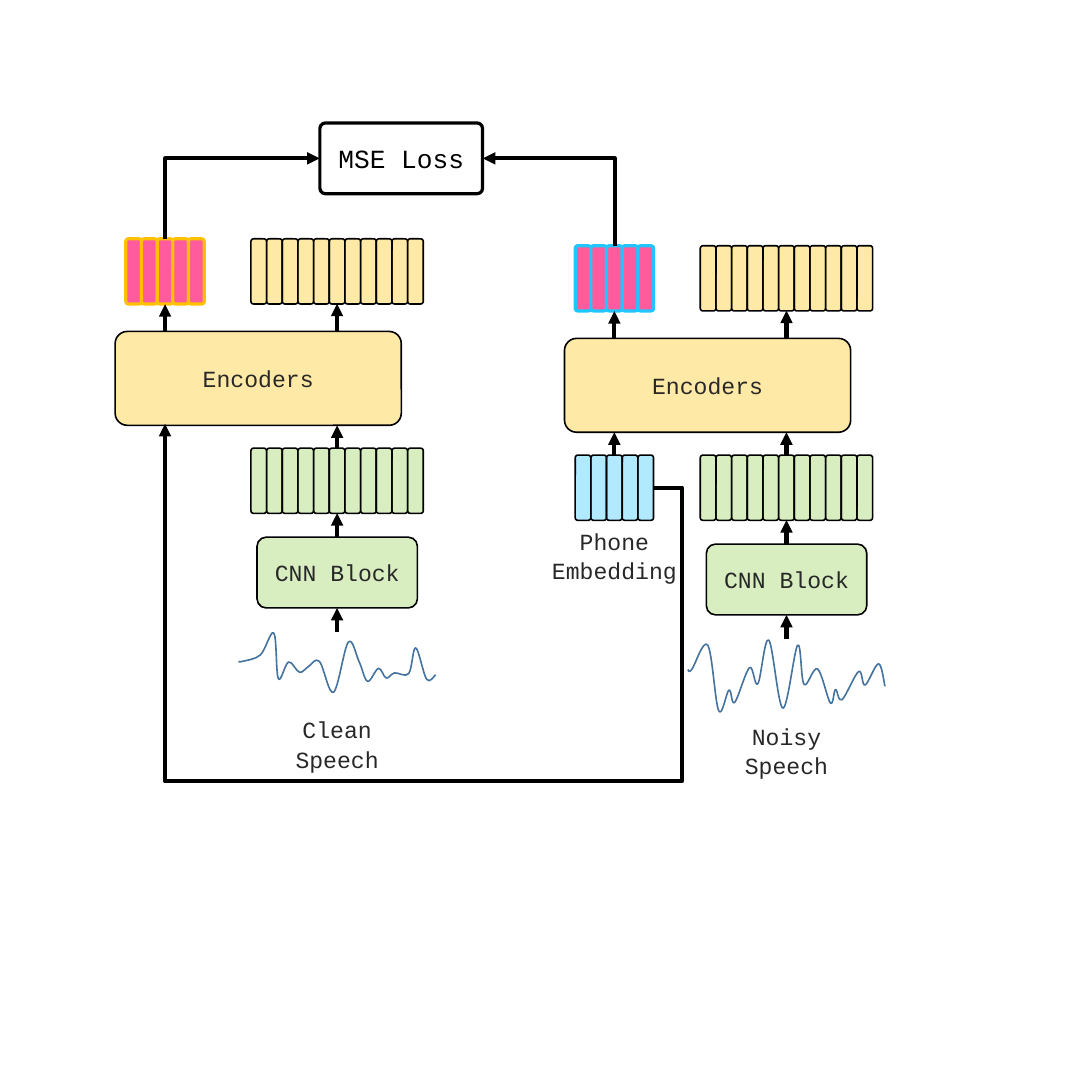
from lxml import etree
from pptx import Presentation
from pptx.dml.color import RGBColor
from pptx.enum import shapes, text
from pptx.oxml import ns
from pptx.util import Pt

BLACK = RGBColor(0x00, 0x00, 0x00)
INK = RGBColor(0x28, 0x28, 0x28)
GOLD = RGBColor(0xFF, 0xC0, 0x00)
GREEN = RGBColor(0x92, 0xD0, 0x50)
CYAN = RGBColor(0x21, 0xC5, 0xFF)
PINK = RGBColor(0xFF, 0x5B, 0x9D)
WAVE_BLUE = RGBColor(0x43, 0x73, 0x9E)
FONT = "Courier New"
TINT = 35  # percent opacity of the light fills

# Content: the two branches, each drawn from its own offset
BRANCHES = [
    dict(offset=(0, 0), speech=["Clean", "Speech"], output_edge=GOLD, phones=None,
         wave=[(0, 45), (6, 45), (34, 35), (55, 1), (62, 72), (78, 46), (95, 62),
               (109, 53), (126, 45), (148, 93), (171, 15), (188, 46), (201, 76),
               (218, 56), (230, 71), (243, 63), (265, 64), (276, 24), (293, 73), (307, 66)]),
    dict(offset=(699.8, 10.8), speech=["Noisy", "Speech"], output_edge=CYAN,
         phones=["Phone", "Embedding"],
         wave=[(0, 47), (6, 47), (31, 9), (48, 111), (64, 79), (73, 98), (96, 44),
               (109, 69), (126, 1), (148, 107), (171, 9), (181, 70), (202, 46),
               (222, 99), (230, 78), (240, 94), (266, 50), (276, 71), (297, 38), (307, 73)]),
]
ENCODERS = (179.3, 516.2, 445.7, 146.2)
CNN_BLOCK = (400.3, 836.6, 249.8, 110.2)
LOSS = (498.2, 191.5, 253.4, 110.2)
LABEL_W, LABEL_H = 229, 92
WAVE_LEFT, WAVE_TOP = 371.5, 985

# Columns and rows shared by both branches
PHONE_X, SPEECH_X = 257, 525
OUTPUT_TOP, FEATURE_TOP = 371.9, 698
BAR_W, BAR_H = 24.4, 101.5
PHONE_BARS, SPEECH_BARS = 5, 11
SPEECH_ARROWS = [(985, 946.8), (836.6, 799.2), (697.7, 662.4), (516.2, 473)]
PHONE_OUT_ARROW, PHONE_IN_ARROW = (516.2, 473.8), (697.7, 662.4)

# Bent arrows: preset, unrotated start and end, rotation, adjustments
BENT_ARROWS = [
    ("bentConnector2", (440.6, 429.8), (314.6, 189.4), 90, []),
    ("bentConnector2", (786.2, 417.6), (923, 212.4), 270, []),
    ("bentConnector4", (1018, 759.6), (257, 660.2), 0, [-5800, -459900]),
]

deck = Presentation()
deck.slide_width = deck.slide_height = Pt(1700.64)
slide = deck.slides.add_slide(deck.slide_layouts[6])


def points(*values):
    return [Pt(v) for v in values]


def sub(parent, tag, **attributes):
    return etree.SubElement(parent, ns.qn(tag), **attributes)


def write(shape, lines, size, color):
    frame = shape.text_frame
    frame.word_wrap = True
    frame.vertical_anchor = text.MSO_ANCHOR.MIDDLE
    frame.text = "\n".join(lines)
    for paragraph in frame.paragraphs:
        paragraph.alignment = text.PP_ALIGN.CENTER
        paragraph.line_spacing = 1.05 if len(lines) > 1 else 1.0
        paragraph.font.name = FONT
        paragraph.font.size = Pt(size)
        paragraph.font.color.rgb = color


def box(area, fill=None, opacity=100, edge=BLACK, edge_width=2.5, rounding=0.167):
    shape = slide.shapes.add_shape(shapes.MSO_SHAPE.ROUNDED_RECTANGLE, *points(*area))
    shape.shadow.inherit = False
    shape.adjustments[0] = rounding
    if fill is None:
        shape.fill.background()
    else:
        shape.fill.solid()
        shape.fill.fore_color.rgb = fill
        if opacity < 100:
            tone = shape._element.spPr.find(ns.qn("a:solidFill"))[0]
            sub(tone, "a:alpha", val=str(opacity * 1000))
    shape.line.color.rgb = edge
    shape.line.width = Pt(edge_width)
    return shape


def bars(center, top, count, fill, **style):
    left = center - count * BAR_W / 2
    for i in range(count):
        box((left + i * BAR_W, top, BAR_W, BAR_H), fill, **style)


def label(center_x, center_y, lines):
    area = (center_x - LABEL_W / 2, center_y - LABEL_H / 2, LABEL_W, LABEL_H)
    write(slide.shapes.add_textbox(*points(*area)), lines, 36, INK)


def arrow(start, end, kind=shapes.MSO_CONNECTOR.STRAIGHT):
    line = slide.shapes.add_connector(kind, *points(*start, *end))
    line.line.color.rgb = BLACK
    line.line.width = Pt(6.5)
    sub(line.line._get_or_add_ln(), "a:tailEnd", type="triangle")
    sub(line._element.spPr, "a:effectLst")
    return line


def bent_arrow(preset, start, end, rotation, adjustments):
    properties = arrow(start, end, shapes.MSO_CONNECTOR.ELBOW)._element.spPr
    properties.find(ns.qn("a:xfrm")).set("rot", str(rotation * 60000))
    geometry = properties.find(ns.qn("a:prstGeom"))
    geometry.set("prst", preset)
    guides = geometry.find(ns.qn("a:avLst"))
    for i, value in enumerate(adjustments, 1):
        sub(guides, "a:gd", name=f"adj{i}", fmla=f"val {value}")


def wave(left, top, knots):
    knots = [(Pt(left + x), Pt(top + y)) for x, y in knots]
    builder = slide.shapes.build_freeform(*knots[0])
    builder.add_line_segments(knots[1:], close=False)
    curve = builder.convert_to_shape()
    curve.shadow.inherit = False
    curve.fill.background()
    curve.line.color.rgb = WAVE_BLUE
    curve.line.width = Pt(2.5)
    # Turn each straight segment into a smooth Catmull-Rom curve
    spots = [(int(p.get("x")), int(p.get("y"))) for p in curve._element.xpath(".//a:pt")]
    padded = [spots[0], *spots, spots[-1]]
    for i, segment in enumerate(curve._element.xpath(".//a:lnTo")):
        before, a, b, after = padded[i:i + 4]
        leave = [p + (q - r) / 6 for p, q, r in zip(a, b, before)]
        reach = [p - (q - r) / 6 for p, q, r in zip(b, after, a)]
        bezier = etree.Element(ns.qn("a:cubicBezTo"))
        for x, y in (leave, reach, b):
            sub(bezier, "a:pt", x=str(round(x)), y=str(round(y)))
        segment.getparent().replace(segment, bezier)


# Branches, from waveform up to encoder outputs
for branch in BRANCHES:
    dx, dy = branch["offset"]
    phone_x, speech_x = PHONE_X + dx, SPEECH_X + dx

    wave(WAVE_LEFT + dx, WAVE_TOP + dy, branch["wave"])
    label(speech_x, 1158 + dy, branch["speech"])
    for area, name, color in ((CNN_BLOCK, "CNN Block", GREEN), (ENCODERS, "Encoders", GOLD)):
        x, y, w, h = area
        write(box((x + dx, y + dy, w, h), color, TINT, rounding=0.129), [name], 36, INK)

    bars(speech_x, FEATURE_TOP + dy, SPEECH_BARS, GREEN, opacity=TINT)
    bars(speech_x, OUTPUT_TOP + dy, SPEECH_BARS, GOLD, opacity=TINT)
    bars(phone_x, OUTPUT_TOP + dy, PHONE_BARS, PINK, edge=branch["output_edge"], edge_width=5)

    arrows = [(speech_x, span) for span in SPEECH_ARROWS] + [(phone_x, PHONE_OUT_ARROW)]
    if branch["phones"]:
        bars(phone_x, FEATURE_TOP + dy, PHONE_BARS, CYAN, opacity=TINT)
        label(phone_x, 854 + dy, branch["phones"])
        arrows.append((phone_x, PHONE_IN_ARROW))
    for x, (start, end) in arrows:
        arrow((x, start + dy), (x, end + dy))

# Loss and the links between branches
for link in BENT_ARROWS:
    bent_arrow(*link)
write(box(LOSS, edge_width=5, rounding=0.077), ["MSE Loss"], 40.8, BLACK)

deck.save("out.pptx")
